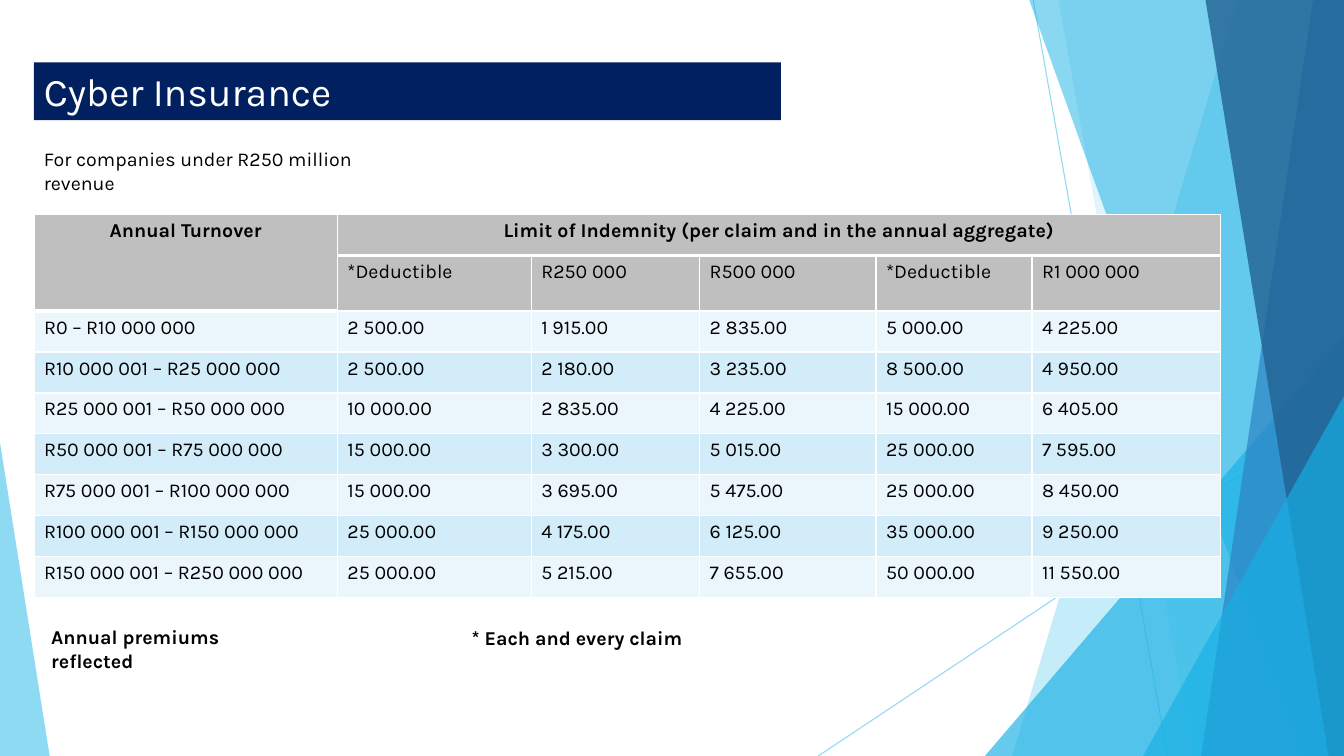
from lxml import etree
from pptx import Presentation
from pptx.dml.color import RGBColor
from pptx.enum.shapes import MSO_CONNECTOR, MSO_SHAPE
from pptx.enum.text import MSO_ANCHOR, PP_ALIGN
from pptx.oxml.ns import qn
from pptx.util import Pt

LINE = MSO_CONNECTOR.STRAIGHT
RECT = MSO_SHAPE.RECTANGLE
WEDGE = MSO_SHAPE.ISOSCELES_TRIANGLE
TOP, MIDDLE = MSO_ANCHOR.TOP, MSO_ANCHOR.MIDDLE
LEFT, CENTER = PP_ALIGN.LEFT, PP_ALIGN.CENTER

BLACK = RGBColor(0x00, 0x00, 0x00)
WHITE = RGBColor(0xFF, 0xFF, 0xFF)
NAVY = RGBColor(0x00, 0x20, 0x60)
GRAY = RGBColor(0xBF, 0xBF, 0xBF)
PALE = RGBColor(0xEA, 0xF6, 0xFC)
ICE = RGBColor(0xD2, 0xEC, 0xF9)
SKY = RGBColor(0x5F, 0xCB, 0xEF)
CYAN = RGBColor(0x17, 0xB0, 0xE4)
BLUE = RGBColor(0x2E, 0x83, 0xC3)
STEEL = RGBColor(0x22, 0x62, 0x92)

FONT = "Karla"
WIDE, HIGH = 960, 540


def paint(fill, color, alpha):
    """Give a fill a solid colour at alpha percent opacity."""
    fill.solid()
    fill.fore_color.rgb = color
    tint = fill._xPr.find(qn("a:solidFill"))[0]
    etree.SubElement(tint, qn("a:alpha"), val=str(alpha * 1000))


def write(frame, text, size=14, bold=False, color=BLACK, align=LEFT):
    frame.word_wrap = True
    para = frame.paragraphs[0]
    para.alignment = align
    run = para.add_run()
    run.text = text
    run.font.name = FONT
    run.font.size = Pt(size)
    run.font.bold = bold
    run.font.color.rgb = color


deck = Presentation()
deck.slide_width, deck.slide_height = Pt(WIDE), Pt(HIGH)
slide = deck.slides.add_slide(deck.slide_layouts[6])
shapes = slide.shapes

# Backdrop: thin lines
for x1, y1, x2, y2 in [(738, 0, 834, HIGH), (WIDE, 290, 584.5, HIGH)]:
    line = shapes.add_connector(LINE, Pt(x1), Pt(y1), Pt(x2), Pt(y2))
    line.line.width = Pt(0.75)
    paint(line.line.fill, SKY, 70)
    etree.SubElement(line._element.spPr, qn("a:effectLst"))

# Backdrop: a shard runs from its top x to its foot x and on to the right
# edge; a wedge has left, top, width and the side its tip is on
facets = [
    ("shard", (884, 723), SKY, 36),
    ("shard", (756, 852), SKY, 20),
    ("wedge", (703.5, 240, 256.5, 1), CYAN, 66),
    ("shard", (735, 929.5), CYAN, 50),
    ("shard", (938, 858), BLUE, 70),
    ("shard", (861, 949), STEEL, 80),
    ("wedge", (816.5, 283, 143.5, 1), CYAN, 66),
    ("wedge", (0, 316, 35.5, 0), SKY, 70),
]
for kind, place, color, alpha in facets:
    if kind == "shard":
        top, foot = place
        path = shapes.build_freeform(Pt(top), Pt(-0.5))
        path.add_line_segments(
            [(Pt(x), Pt(y)) for x, y in [(WIDE, -0.5), (WIDE, HIGH), (foot, HIGH)]])
        facet = path.convert_to_shape()
    else:
        x, y, width, tip = place
        facet = shapes.add_shape(WEDGE, Pt(x), Pt(y), Pt(width), Pt(HIGH - y))
        facet.adjustments[0] = tip
    paint(facet.fill, color, alpha)
    facet.line.fill.background()
    facet.shadow.inherit = False

# Premium table
heads = ["Annual Turnover",
         "Limit of Indemnity (per claim and in the annual aggregate)"]
rows = [
    heads + [""] * 4,
    ["", "*Deductible", "R250 000", "R500 000", "*Deductible", "R1 000 000"],
    ["R0 – R10 000 000", "2 500.00", "1 915.00", "2 835.00", "5 000.00", "4 225.00"],
    ["R10 000 001 – R25 000 000", "2 500.00", "2 180.00", "3 235.00", "8 500.00", "4 950.00"],
    ["R25 000 001 – R50 000 000", "10 000.00", "2 835.00", "4 225.00", "15 000.00", "6 405.00"],
    ["R50 000 001 – R75 000 000", "15 000.00", "3 300.00", "5 015.00", "25 000.00", "7 595.00"],
    ["R75 000 001 – R100 000 000", "15 000.00", "3 695.00", "5 475.00", "25 000.00", "8 450.00"],
    ["R100 000 001 – R150 000 000", "25 000.00", "4 175.00", "6 125.00", "35 000.00", "9 250.00"],
    ["R150 000 001 – R250 000 000", "25 000.00", "5 215.00", "7 655.00", "50 000.00", "11 550.00"],
]
widths = [216.75, 138.5, 120.25, 126, 111.5, 134.75]
heights = [29.25, 39.75] + [29.25] * 7
table = shapes.add_table(len(rows), len(widths), Pt(24.25), Pt(153.25),
                         Pt(sum(widths)), Pt(sum(heights))).table
for col, width in zip(table.columns, widths):
    col.width = Pt(width)
for row, height in zip(table.rows, heights):
    row.height = Pt(height)
table.cell(0, 0).merge(table.cell(1, 0))
table.cell(0, 1).merge(table.cell(0, 5))

for r, row in enumerate(rows):
    for c, text in enumerate(row):
        cell = table.cell(r, c)
        thick = r == 0 or (r == 1 and c == 0)
        props = cell._tc.get_or_add_tcPr()
        for side in "LRTB":
            width = 3 if side == "B" and thick else 1
            if side == "T" and r == 1 and c > 0:
                width = 3
            edge = etree.SubElement(props, qn("a:ln" + side), w=str(Pt(width)))
            solid = etree.SubElement(edge, qn("a:solidFill"))
            etree.SubElement(solid, qn("a:srgbClr"), val=str(WHITE))
        cell.fill.solid()
        cell.fill.fore_color.rgb = GRAY if r < 2 else (PALE, ICE)[r % 2]
        if text:
            write(cell.text_frame, text, bold=r == 0,
                  align=CENTER if r == 0 else LEFT)

# Notes around the table
notes = [
    ("Annual premiums reflected", 29.5, 443, 194.5, True),
    ("* Each and every claim", 329.75, 443.5, 165.5, True),
    ("For companies under R250 million revenue", 24.25, 101.5, 284.5, False),
]
for text, x, y, width, bold in notes:
    box = shapes.add_textbox(Pt(x), Pt(y), Pt(width), Pt(24.5))
    box.text_frame.vertical_anchor = TOP
    write(box.text_frame, text, bold=bold)

# Title bar
title = shapes.add_shape(RECT, Pt(24.25), Pt(44.5), Pt(533.5), Pt(41.25))
title.fill.solid()
title.fill.fore_color.rgb = NAVY
title.line.fill.background()
title.shadow.inherit = False
title.text_frame.vertical_anchor = MIDDLE
write(title.text_frame, "Cyber Insurance", size=28, color=WHITE)

deck.save("out.pptx")
